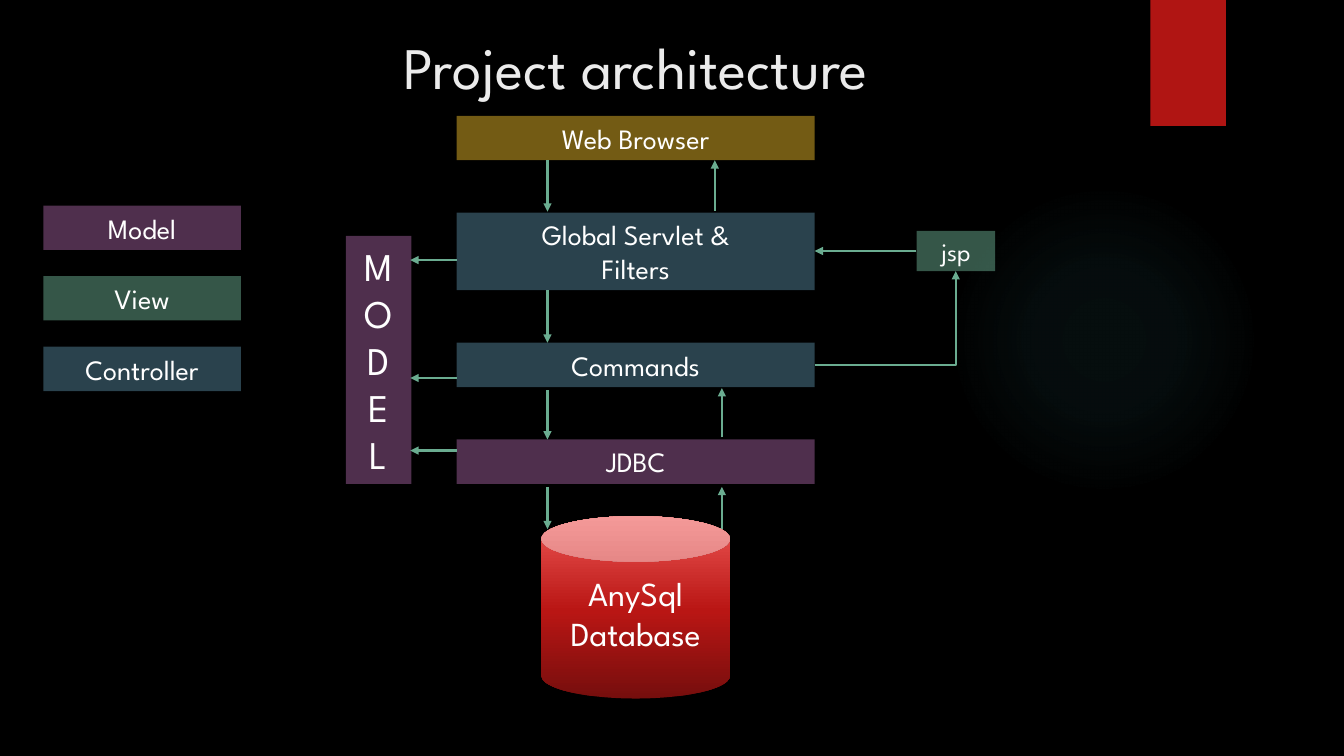
"""Build the project architecture slide."""
import pptx
import pptx.dml.color
import pptx.enum.dml
import pptx.enum.shapes
import pptx.enum.text
import pptx.oxml
import pptx.oxml.ns
import pptx.util

Inches = pptx.util.Inches
Pt = pptx.util.Pt
RGBColor = pptx.dml.color.RGBColor
SHAPE = pptx.enum.shapes.MSO_SHAPE
CONNECTOR = pptx.enum.shapes.MSO_CONNECTOR
MIDDLE = pptx.enum.text.MSO_ANCHOR.MIDDLE
CENTER = pptx.enum.text.PP_ALIGN.CENTER
qn = pptx.oxml.ns.qn

BLACK = RGBColor(0x00, 0x00, 0x00)
WHITE = RGBColor(0xFF, 0xFF, 0xFF)
OFF_WHITE = RGBColor(0xEB, 0xEB, 0xEB)
RED = RGBColor(0xB0, 0x15, 0x13)
GOLD = RGBColor(0xE6, 0xB7, 0x29)
BLUE = RGBColor(0x54, 0x84, 0x9A)
PURPLE = RGBColor(0x9E, 0x5E, 0x9B)
GREEN = RGBColor(0x6A, 0xAC, 0x90)
TEAL = RGBColor(0x50, 0xB9, 0xC1)
DARK_RED = RGBColor(0x76, 0x0E, 0x0D)
MID_RED = RGBColor(0xB9, 0x16, 0x14)
LIGHT_RED = RGBColor(0xED, 0x56, 0x54)

LINEAR_UP = '<a:lin ang="16200000" scaled="0"/>'
RADIAL = '<a:path path="circle"><a:fillToRect l="50000" t="50000" r="50000" b="50000"/></a:path>'


class Diagram:
    """Draw diagram elements on one slide in a shared style."""

    font = "League Spartan"

    def __init__(self, slide):
        self.slide = slide
        fill = slide.background.fill
        fill.solid()
        fill.fore_color.rgb = BLACK

    def element(self, tag, content="", **attrs):
        pairs = "".join(f' {key}="{value}"' for key, value in attrs.items())
        return pptx.oxml.parse_xml(
            f'<a:{tag} {pptx.oxml.ns.nsdecls("a")}{pairs}>{content}</a:{tag}>')

    def add_text(self, sp, paragraphs, size, color=WHITE):
        tf = sp.text_frame
        tf.word_wrap = True
        tf.vertical_anchor = MIDDLE
        for i, lines in enumerate(paragraphs):
            p = tf.add_paragraph() if i else tf.paragraphs[0]
            p.alignment = CENTER
            for j, line in enumerate(lines):
                if j:
                    p.add_line_break()
                r = p.add_run()
                r.text = line
                r.font.name = self.font
                r.font.size = Pt(size)
                r.font.color.rgb = color

    def title(self, text, box):
        sp = self.slide.shapes.title
        sp.left, sp.top, sp.width, sp.height = map(Inches, box)
        self.add_text(sp, [[text]], 42, OFF_WHITE)

    def shape(self, kind, box):
        sp = self.slide.shapes.add_shape(kind, *map(Inches, box))
        sp.shadow.inherit = False
        sp.fill.background()
        sp.line.fill.background()
        return sp

    def block(self, box, color, lines=(), size=20, alpha=50):
        sp = self.shape(SHAPE.RECTANGLE, box)
        sp.fill.solid()
        sp.fill.fore_color.rgb = color
        clr = sp._element.spPr.find(qn("a:solidFill"))[0]
        clr.append(self.element("alpha", val=alpha * 1000))
        if lines:
            self.add_text(sp, [lines], size)

    def gradient(self, kind, box, stops, direction):
        sp = self.shape(kind, box)
        gs = "".join(
            f'<a:gs pos="{pos * 1000}"><a:srgbClr val="{color}">'
            f'<a:alpha val="{alpha * 1000}"/></a:srgbClr></a:gs>'
            for pos, color, alpha in stops)
        spPr = sp._element.spPr
        grad = self.element("gradFill", f"<a:gsLst>{gs}</a:gsLst>{direction}", rotWithShape=1)
        spPr.replace(spPr.find(qn("a:noFill")), grad)

    def label(self, box, paragraphs, size):
        sp = self.slide.shapes.add_textbox(*map(Inches, box))
        self.add_text(sp, paragraphs, size)

    def arrow(self, x1, y1, x2, y2, bent=False):
        kind = CONNECTOR.ELBOW if bent else CONNECTOR.STRAIGHT
        cxn = self.slide.shapes.add_connector(kind, *map(Inches, (x1, y1, x2, y2)))
        cxn.line.color.rgb = GREEN
        cxn.line.width = Pt(1.5)
        spPr = cxn._element.spPr
        spPr.find(qn("a:ln")).append(self.element("tailEnd", type="triangle"))
        spPr.append(self.element("effectLst"))
        if bent:
            spPr.find(qn("a:prstGeom")).set("prst", "bentConnector2")


def main():
    prs = pptx.Presentation()
    prs.slide_width, prs.slide_height = Inches(13.33), Inches(7.5)
    d = Diagram(prs.slides.add_slide(prs.slide_layouts[5]))

    d.gradient(SHAPE.OVAL, (9.41, 1.83, 3.08, 3.08),
               [(0, TEAL, 7), (36, TEAL, 6), (69, TEAL, 0)], RADIAL)
    d.block((11.41, 0, 0.75, 1.25), RED, alpha=100)
    d.title("Project architecture", (1.48, 0.22, 9.65, 0.86))

    left, width, row = 4.53, 3.55, 0.44
    right = left + width
    layers = [
        (1.15, row, GOLD, ["Web Browser"]),
        (2.11, 0.77, BLUE, ["Global Servlet &", "Filters"]),
        (3.4, row, BLUE, ["Commands"]),
        (4.36, row, PURPLE, ["JDBC"]),
    ]
    for top, height, color, lines in layers:
        d.block((left, top, width, height), color, lines)
    d.block((3.43, 2.34, 0.65, 2.46), PURPLE, list("MODEL"), size=28)
    d.block((9.09, 2.29, 0.78, 0.4), GREEN, ["jsp"], size=18)

    legend = [("Model", PURPLE), ("View", GREEN), ("Controller", BLUE)]
    for i, (name, color) in enumerate(legend):
        d.block((0.43, 2.04 + i * 0.7, 1.96, row), color, [name])

    for y1, y2 in [(1.59, 2.1), (2.88, 3.4), (3.87, 4.36), (4.83, 5.25)]:
        d.arrow(5.43, y1, 5.43, y2)

    d.gradient(SHAPE.CAN, (5.37, 5.12, 1.87, 1.81),
               [(0, DARK_RED, 100), (48, MID_RED, 100), (100, LIGHT_RED, 100)], LINEAR_UP)
    d.label((5.35, 5.63, 1.91, 0.91), [["AnySql"], ["Database"]], 24)

    for x, y1, y2 in [(7.09, 2.09, 1.59), (7.16, 4.34, 3.85), (7.16, 5.25, 4.83)]:
        d.arrow(x, y1, x, y2)
    for y in (2.58, 3.75, 4.47):
        d.arrow(left, y, 4.07, y)
    d.arrow(9.09, 2.49, right, 2.49)
    d.arrow(right, 3.62, 9.48, 2.69, bent=True)

    prs.save("out.pptx")


if __name__ == "__main__":
    main()
